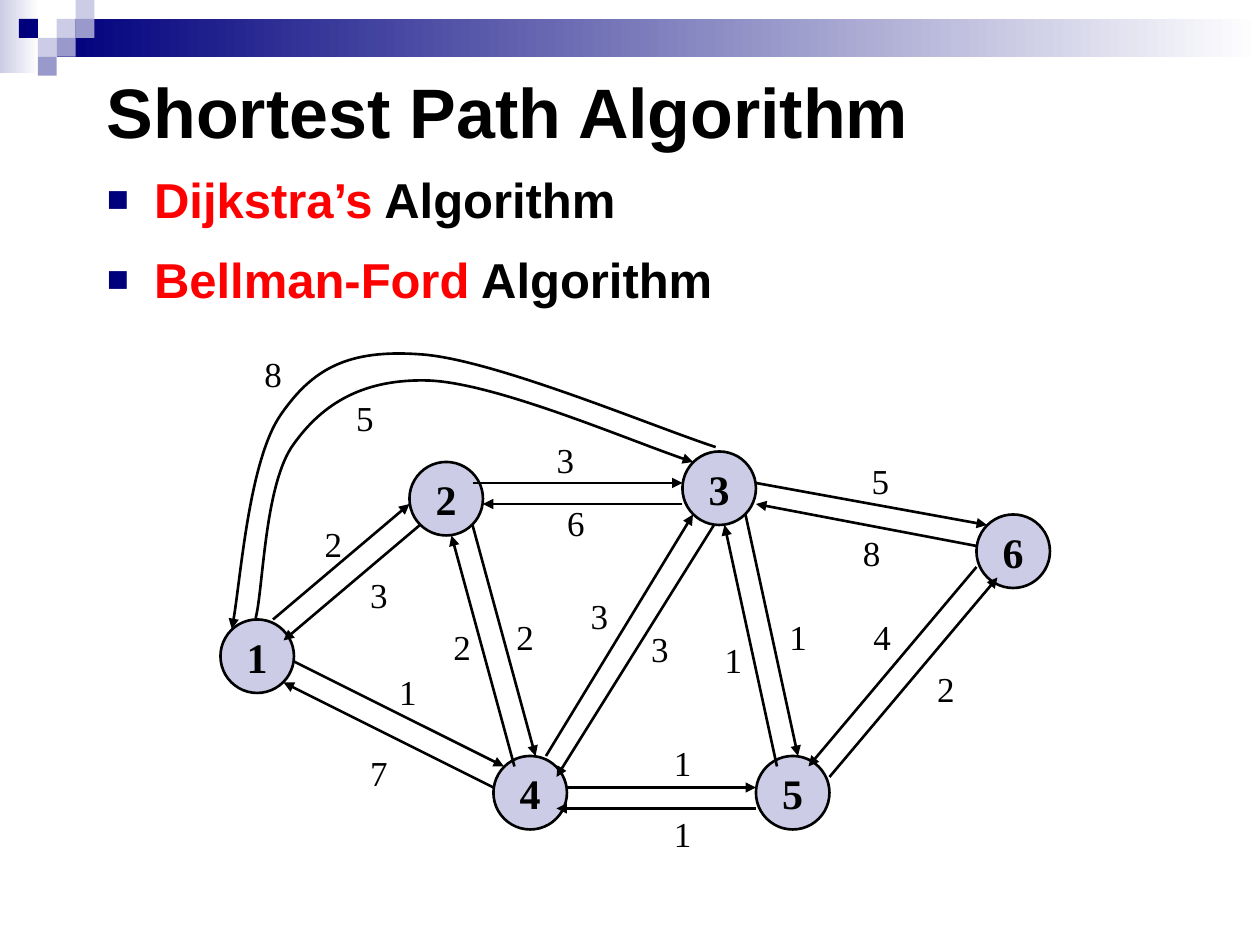
"""Build the slide on shortest path algorithms with its weighted directed graph."""
import dataclasses

import lxml.etree
import pptx
import pptx.dml.color
import pptx.enum.shapes
import pptx.enum.text
import pptx.oxml.ns
import pptx.util

Pt = pptx.util.Pt
Shape = pptx.enum.shapes.MSO_SHAPE
Anchor = pptx.enum.text.MSO_ANCHOR
qn = pptx.oxml.ns.qn


@dataclasses.dataclass(frozen=True)
class Theme:
    ink: str = "000000"
    paper: str = "FFFFFF"
    navy: str = "00007D"
    violet: str = "9999CC"
    lilac: str = "CCCCE6"
    accent: str = "FF0000"
    heading_font: str = "Arial"
    graph_font: str = "Times New Roman"
    title_size: float = 40
    body_size: float = 28
    node_size: float = 24
    weight_size: float = 20
    stroke: float = 1.5


def rgb(value):
    return pptx.dml.color.RGBColor.from_string(value)


def add_node(parent, tag, **attributes):
    return lxml.etree.SubElement(parent, qn(tag), attributes)


class SlideBuilder:
    def __init__(self, slide, theme):
        self.slide = slide
        self.theme = theme

    def add_span(self, para, text, size, font, color, bold=False):
        span = para.add_run()
        span.text = text
        span.font.size = Pt(size)
        span.font.name = font
        span.font.bold = bold
        span.font.color.rgb = rgb(color)

    def shape(self, kind, left, top, width, height):
        shape = self.slide.shapes.add_shape(kind, Pt(left), Pt(top), Pt(width), Pt(height))
        shape.shadow.inherit = False
        return shape

    def block(self, left, top, width, height, color):
        block = self.shape(Shape.RECTANGLE, left, top, width, height)
        block.fill.solid()
        block.fill.fore_color.rgb = rgb(color)
        block.line.fill.background()
        return block

    def fading_block(self, left, top, width, height, color):
        fill = self.block(left, top, width, height, color).fill
        fill.gradient()
        fill.gradient_angle = 180
        for stop, shade in zip(fill.gradient_stops, (self.theme.paper, color)):
            stop.color.rgb = rgb(shade)

    def text_frame(self, left, top, width, height, wrap=True):
        box = self.slide.shapes.add_textbox(Pt(left), Pt(top), Pt(width), Pt(height))
        box.text_frame.word_wrap = wrap
        return box.text_frame

    def title(self, text, left, top, width, height):
        frame = self.text_frame(left, top, width, height)
        frame.vertical_anchor = Anchor.MIDDLE
        theme = self.theme
        self.add_span(frame.paragraphs[0], text, theme.title_size, theme.heading_font, theme.ink, True)

    def bullets(self, items, left, top, width, height):
        frame = self.text_frame(left, top, width, height)
        theme = self.theme
        for index, spans in enumerate(items):
            para = frame.add_paragraph() if index else frame.paragraphs[0]
            para.line_spacing = 1.1
            para.space_before = Pt(8.5)
            self.bullet_mark(para)
            for text, color in spans:
                self.add_span(para, text, theme.body_size, theme.heading_font, color, True)

    def bullet_mark(self, para):
        properties = para._p.get_or_add_pPr()
        properties.set("marL", str(Pt(27)))
        properties.set("indent", str(-Pt(27)))
        add_node(add_node(properties, "a:buClr"), "a:srgbClr", val=self.theme.navy)
        add_node(properties, "a:buSzPct", val="75000")
        add_node(properties, "a:buFont", typeface=self.theme.heading_font)
        add_node(properties, "a:buChar", char="■")

    def outline(self, line):
        line.color.rgb = rgb(self.theme.ink)
        line.width = Pt(self.theme.stroke)

    def arrow_line(self, line):
        self.outline(line)
        add_node(line._get_or_add_ln(), "a:tailEnd", type="triangle")

    def vertex(self, name, left, top, size=42):
        theme = self.theme
        circle = self.shape(Shape.OVAL, left, top, size, size)
        circle.fill.solid()
        circle.fill.fore_color.rgb = rgb(theme.lilac)
        self.outline(circle.line)
        frame = circle.text_frame
        frame.word_wrap = False
        frame.vertical_anchor = Anchor.MIDDLE
        para = frame.paragraphs[0]
        para.alignment = pptx.enum.text.PP_ALIGN.CENTER
        self.add_span(para, name, theme.node_size, theme.graph_font, theme.ink, True)

    def edge(self, *ends):
        edge = self.slide.shapes.add_connector(
            pptx.enum.shapes.MSO_CONNECTOR.STRAIGHT, *(Pt(end) for end in ends))
        self.arrow_line(edge.line)
        add_node(edge._element.spPr, "a:effectLst")

    def curved_edge(self, points):
        start, *controls = [(Pt(x), Pt(y)) for x, y in points]
        builder = self.slide.shapes.build_freeform(*start, scale=1.0)
        builder.add_line_segments(controls, close=False)
        curve = builder.convert_to_shape()
        curve.shadow.inherit = False
        curve.fill.background()
        self.arrow_line(curve.line)
        lines = curve._element.xpath(".//a:lnTo")
        for first in range(0, len(lines), 3):
            cubic = add_node(lines[first].getparent(), "a:cubicBezTo")
            for line in lines[first:first + 3]:
                cubic.append(line[0])
                line.getparent().remove(line)

    def weight(self, text, left, top):
        theme = self.theme
        frame = self.text_frame(left, top, 24.5, 31.5, wrap=False)
        self.add_span(frame.paragraphs[0], text, theme.weight_size, theme.graph_font, theme.ink)


def main():
    theme = Theme()
    deck = pptx.Presentation()
    deck.slide_width, deck.slide_height = Pt(720), Pt(540)
    page = SlideBuilder(deck.slides.add_slide(deck.slide_layouts[6]), theme)

    page.fading_block(0, 0, 22.5, 42, theme.lilac)
    page.fading_block(32.4, 10.8, 687.6, 21.6, theme.navy)
    tile = 10.8
    for column, row, color in (
            (3, 1, theme.lilac), (4, 0, theme.lilac), (4, 1, theme.violet), (2, 2, theme.lilac),
            (1, 1, theme.navy), (3, 2, theme.violet), (2, 3, theme.violet)):
        page.block(column * tile, row * tile, tile, tile, color)

    page.title("Shortest Path Algorithm", 54, 18, 612, 90)
    page.bullets([[(name, theme.accent), (" Algorithm", theme.ink)]
                  for name in ("Dijkstra’s", "Bellman-Ford")], 54, 90, 612, 90)

    for name, left, top in (("2", 234, 264), ("3", 390, 258), ("1", 126, 354),
                            ("4", 282, 432), ("6", 558, 294), ("5", 432, 432)):
        page.vertex(name, left, top)

    for ends in (
            (156, 354, 234, 288), (240, 300, 162, 366), (270, 276, 390, 276),
            (390, 288, 276, 288), (432, 276, 564, 300), (558, 312, 432, 288),
            (324, 450, 432, 450), (432, 462, 318, 462), (168, 378, 288, 438),
            (282, 450, 162, 390), (558, 324, 462, 438), (474, 444, 570, 330),
            (270, 300, 306, 432), (294, 438, 258, 306), (312, 432, 396, 294),
            (408, 300, 318, 444), (426, 294, 456, 432), (444, 438, 414, 300)):
        page.edge(*ends)

    page.curved_edge([(146, 353.5), (150.5, 337), (151, 276), (168, 253.5), (184.5, 230.5),
                      (208, 216), (246, 217.5), (284.5, 219.5), (365, 254), (396, 264)])
    page.curved_edge([(409, 255.5), (373.5, 244), (281.5, 205), (240, 202.5), (198.5, 199.5),
                      (178.5, 211), (160.5, 237), (142.5, 263), (137, 338.5), (132.5, 359.5)])

    for text, left, top in (
            ("8", 144, 198), ("5", 196.5, 223), ("2", 178.5, 295), ("3", 204.5, 324),
            ("3", 311, 247), ("6", 317, 283), ("5", 491, 259), ("8", 486, 300),
            ("2", 252, 354), ("2", 288, 348), ("3", 330.5, 336), ("3", 365, 355),
            ("1", 407, 361.5), ("1", 444, 348), ("4", 492, 348), ("2", 528.5, 378),
            ("1", 378, 420), ("1", 378, 461), ("1", 221, 379.5), ("7", 204.5, 426)):
        page.weight(text, left, top)

    deck.save("out.pptx")


if __name__ == "__main__":
    main()
